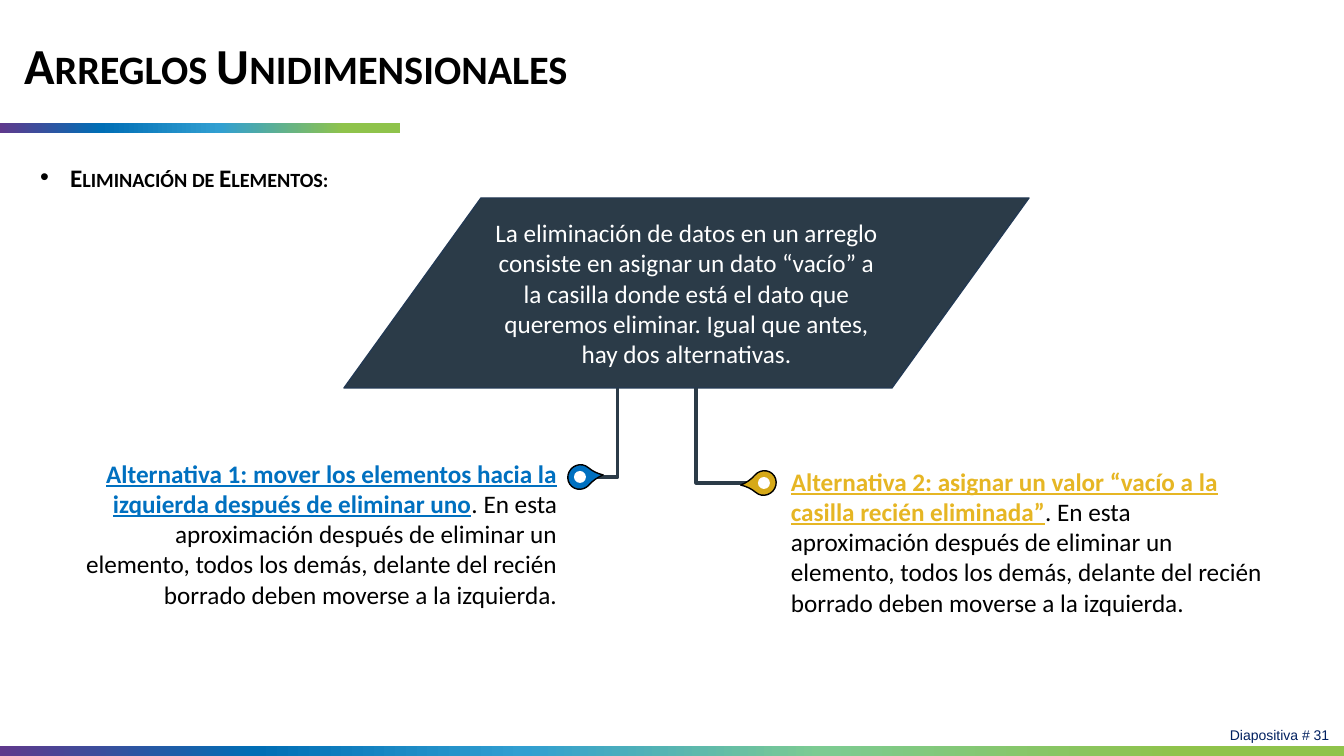
from dataclasses import dataclass

import pptx
import pptx.dml.color
import pptx.enum.shapes
import pptx.enum.text
import pptx.oxml
import pptx.oxml.ns
import pptx.util
from lxml import etree

SHAPE = pptx.enum.shapes.MSO_SHAPE
ALIGN = pptx.enum.text.PP_ALIGN
ANCHOR = pptx.enum.text.MSO_ANCHOR
FIT = pptx.enum.text.MSO_AUTO_SIZE
NS = pptx.oxml.ns.nsdecls("a")
qn = pptx.oxml.ns.qn

SCALE = 914400 / 100.8
HUES = {
    "black": "000000", "white": "FFFFFF", "slate": "2B3B48", "edge": "233953",
    "navy": "002060", "blue": "0070C0", "gold": "D6A918", "amber": "E6B624",
    "purple": "5F398C", "deep": "006EB5", "sky": "319FD1", "mint": "7CCB92",
    "green": "8FC34B",
}


@dataclass
class Bar:
    top: int
    width: int
    stops: dict[str, int]


@dataclass
class Option:
    """One alternative: its text box, its pin and the elbow that leads there."""
    head: str
    hue: str
    box: tuple[int, int]
    align: ALIGN
    pin: tuple[int, int]
    turn: int
    fill: str
    stem: int


BARS = [
    Bar(123, 400, {"purple": 0, "deep": 25, "sky": 55, "green": 86}),
    Bar(746, 1344, {"purple": 0, "deep": 19, "sky": 39, "mint": 61, "green": 88}),
]
OPTIONS = [
    Option("Alternativa 1: mover los elementos hacia la izquierda después de eliminar uno",
           "blue", (40, 453), ALIGN.RIGHT, (580, 477), 41, "blue", 618),
    Option("Alternativa 2: asignar un valor “vacío a la casilla recién eliminada”",
           "amber", (751, 461), ALIGN.LEFT, (764, 483), 221, "gold", 696),
]
DETAIL = (". En esta aproximación después de eliminar un elemento, todos los demás, "
          "delante del recién borrado deben moverse a la izquierda.")
INTRO = ("La eliminación de datos en un arreglo consiste en asignar un dato “vacío” a "
         "la casilla donde está el dato que queremos eliminar. Igual que antes, "
         "hay dos alternativas.")


def px(size: float) -> pptx.util.Emu:
    return pptx.util.Emu(round(size * SCALE))


def rgb(hue: str) -> pptx.dml.color.RGBColor:
    return pptx.dml.color.RGBColor.from_string(HUES[hue])


def write(par, text: str, *, size: int = 18, hue: str = "black", face: str = "Calibri",
          bold: bool = False, under: bool = False, small: bool = False, align=None) -> None:
    """Add a formatted run to a paragraph."""
    if align is not None:
        par.alignment = align
    run = par.add_run()
    run.text = text
    font = run.font
    font.size, font.name = pptx.util.Pt(size), face
    font.bold, font.underline = bold, under
    font.color.rgb = rgb(hue)
    if small:
        run._r.get_or_add_rPr().set("cap", "small")


def indent(par, left: int, first: int = 0) -> None:
    props = par._p.get_or_add_pPr()
    props.set("marL", str(px(left)))
    props.set("indent", str(px(first)))


def place(shape, left: int, top: int, width: int, height: int) -> None:
    shape.left, shape.top = px(left), px(top)
    shape.width, shape.height = px(width), px(height)


def add_box(slide, left: int, top: int, width: int, height: int):
    """Add a wrapping text box and return its first paragraph."""
    box = slide.shapes.add_textbox(px(left), px(top), px(width), px(height))
    box.text_frame.word_wrap = True
    box.text_frame.auto_size = FIT.SHAPE_TO_FIT_TEXT
    return box.text_frame.paragraphs[0]


def add_form(slide, kind, left: float, top: float, width: int, height: int,
             fill: str, line: str | None = None):
    form = slide.shapes.add_shape(kind, px(left), px(top), px(width), px(height))
    form.shadow.inherit = False
    form.fill.solid()
    form.fill.fore_color.rgb = rgb(fill)
    if line:
        form.line.color.rgb = rgb(line)
        form.line.width = pptx.util.Pt(1)
    else:
        form.line.fill.background()
    return form


def add_bar(slide, bar: Bar) -> None:
    form = add_form(slide, SHAPE.ROUNDED_RECTANGLE, 0, bar.top, bar.width, 10, "blue")
    form.adjustments[0] = 0.07
    stops = "".join(
        f'<a:gs pos="{pos * 1000}"><a:srgbClr val="{HUES[hue]}"/></a:gs>'
        for hue, pos in bar.stops.items())
    blend = pptx.oxml.parse_xml(
        f'<a:gradFill {NS}><a:gsLst>{stops}</a:gsLst><a:lin ang="0" scaled="0"/></a:gradFill>')
    solid = form._element.spPr.find(qn("a:solidFill"))
    form._element.spPr.replace(solid, blend)


def add_elbow(slide, start: tuple[int, int], end: tuple[int, int]) -> None:
    """Draw a line that runs down first and then sideways."""
    elbow = slide.shapes.add_connector(
        pptx.enum.shapes.MSO_CONNECTOR.ELBOW, *map(px, start), *map(px, end))
    elbow.line.color.rgb = rgb("slate")
    elbow.line.width = pptx.util.Pt(2.25)
    props = elbow._element.spPr
    guides = props.find(qn("a:prstGeom")).get_or_add_avLst()
    etree.SubElement(guides, qn("a:gd"), name="adj1", fmla="val 0")
    etree.SubElement(props.find(qn("a:ln")), qn("a:tailEnd"), type="oval")
    etree.SubElement(props, qn("a:effectLst"))


def add_option(slide, option: Option) -> None:
    x, y = option.pin
    add_elbow(slide, (option.stem, 388), option.pin)
    drop = add_form(slide, SHAPE.TEAR, x - 12, y - 12.5, 24, 25, option.fill, "black")
    drop.adjustments[0] = 1.34
    drop.rotation = option.turn
    add_form(slide, SHAPE.OVAL, x - 6, y - 6, 12, 12, "white")
    par = add_box(slide, *option.box, 527, 163)
    indent(par, 30)
    write(par, option.head, hue=option.hue, bold=True, under=True, align=option.align)
    write(par, DETAIL)


def add_title(slide) -> None:
    title = slide.shapes.title
    place(title, 14, 0, 951, 136)
    frame = title.text_frame
    frame.auto_size, frame.vertical_anchor = FIT.NONE, ANCHOR.MIDDLE
    par = frame.paragraphs[0]
    par.line_spacing = 0.9
    write(par, "Arreglos Unidimensionales", size=36, bold=True, small=True, align=ALIGN.LEFT)


def add_topic(slide) -> None:
    body = slide.placeholders[1]
    place(body, 30, 157, 435, 60)
    body.text_frame.auto_size = FIT.NONE
    par = body.text_frame.paragraphs[0]
    indent(par, 30, -30)
    props = par._p.get_or_add_pPr()
    etree.SubElement(props, qn("a:buFont"), typeface="Arial")
    etree.SubElement(props, qn("a:buChar"), char="•")
    par.space_before = pptx.util.Pt(0)
    write(par, "Eliminación de Elementos:", bold=True, small=True)


def add_intro(slide) -> None:
    panel = add_form(slide, SHAPE.FLOWCHART_DATA, 344, 198, 685, 190, "slate", "edge")
    panel.text_frame.word_wrap = True
    panel.text_frame.vertical_anchor = ANCHOR.MIDDLE
    write(panel.text_frame.paragraphs[0], INTRO, hue="white", align=ALIGN.CENTER)


def main() -> None:
    deck = pptx.Presentation()
    deck.slide_width, deck.slide_height = px(1344), px(756)
    slide = deck.slides.add_slide(deck.slide_layouts[1])
    for bar in BARS:
        add_bar(slide, bar)
    write(add_box(slide, 1205, 722, 134, 28), "Diapositiva # 31",
          size=10, hue="navy", face="Arial", align=ALIGN.RIGHT)
    add_title(slide)
    add_topic(slide)
    add_intro(slide)
    for option in OPTIONS:
        add_option(slide, option)
    deck.save("out.pptx")


if __name__ == "__main__":
    main()
